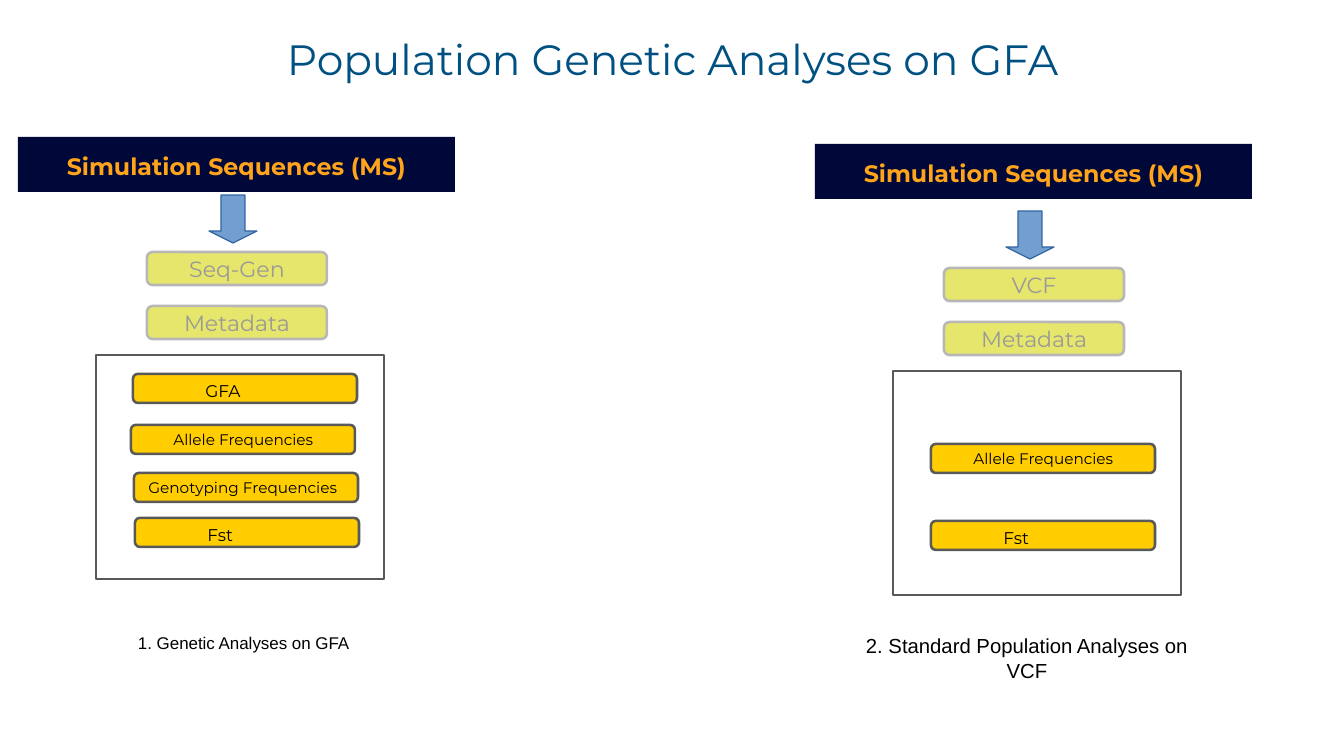
from dataclasses import dataclass

from pptx import Presentation
from pptx.dml.color import RGBColor
from pptx.enum.shapes import MSO_SHAPE
from pptx.enum.text import MSO_ANCHOR, PP_ALIGN
from pptx.util import Emu, Pt

EMU_PER_PX = 7495
TITLE_ONLY_LAYOUT = 5
RECTANGLE = MSO_SHAPE.RECTANGLE
ROUNDED = MSO_SHAPE.ROUNDED_RECTANGLE
DOWN_ARROW = MSO_SHAPE.DOWN_ARROW
TOP, MIDDLE, BOTTOM = MSO_ANCHOR.TOP, MSO_ANCHOR.MIDDLE, MSO_ANCHOR.BOTTOM
LEFT, CENTER = PP_ALIGN.LEFT, PP_ALIGN.CENTER


@dataclass(frozen=True)
class Theme:
    heading_font: str = "Montserrat"
    caption_font: str = "Arial"
    title: str = "005082"
    banner: str = "000839"
    banner_text: str = "FFA41B"
    input_fill: str = "E6E56C"
    input_line: str = "B7B7B7"
    input_text: str = "999999"
    analysis_fill: str = "FFCD00"
    dark_line: str = "595959"
    arrow_fill: str = "729FCF"
    arrow_line: str = "3465A4"
    text: str = "000000"
    title_size: int = 25
    banner_size: int = 14
    input_size: int = 13


THEME = Theme()


@dataclass(frozen=True)
class Analysis:
    label: str
    left: int
    top: int
    indent: int
    size: int
    drop: int = 0


@dataclass(frozen=True)
class Pipeline:
    left: int
    top: int
    banner_top: int
    first_input: str
    analyses: tuple


PIPELINES = (
    Pipeline(18, 195, 137, "Seq-Gen", (
        Analysis("GFA", 133, 374, 71, 10, 4),
        Analysis("Allele Frequencies", 131, 425, 41, 9),
        Analysis("Genotyping Frequencies", 134, 473, 13, 9),
        Analysis("Fst", 135, 518, 71, 10, 4),
    )),
    Pipeline(815, 211, 144, "VCF", (
        Analysis("Allele Frequencies", 931, 444, 41, 9),
        Analysis("Fst", 931, 521, 71, 10, 4),
    )),
)


def px(length):
    return Emu(length * EMU_PER_PX)


def place(shape, box):
    shape.left, shape.top, shape.width, shape.height = map(px, box)


def write(shape, lines, size, color, font=THEME.heading_font, bold=False,
          align=CENTER, anchor=MIDDLE, insets=(0, 0, 0, 0), wrap=True):
    """Fill the shape with one paragraph per line; insets are left, top, right, bottom."""
    frame = shape.text_frame
    frame.word_wrap = wrap
    frame.vertical_anchor = anchor
    (frame.margin_left, frame.margin_top,
     frame.margin_right, frame.margin_bottom) = map(px, insets)
    for index, line in enumerate(lines):
        paragraph = frame.add_paragraph() if index else frame.paragraphs[0]
        paragraph.alignment = align
        run = paragraph.add_run()
        run.text = line
        run.font.name = font
        run.font.size = Pt(size)
        run.font.bold = bold
        run.font.color.rgb = RGBColor.from_string(color)


def add_box(slide, kind, box, fill=None, line=None, line_width=0):
    shape = slide.shapes.add_shape(kind, *map(px, box))
    shape.shadow.inherit = False
    if fill:
        shape.fill.solid()
        shape.fill.fore_color.rgb = RGBColor.from_string(fill)
    else:
        shape.fill.background()
    if line:
        shape.line.color.rgb = RGBColor.from_string(line)
        shape.line.width = Pt(line_width)
    else:
        shape.line.fill.background()
    return shape


def add_title(slide, text):
    title = slide.shapes.title
    place(title, (46, 21, 1253, 84))
    write(title, [text], THEME.title_size, THEME.title, anchor=TOP,
          insets=(12, 12, 12, 12))


def add_banner(slide, left, top):
    banner = add_box(slide, RECTANGLE, (left, top, 437, 55), THEME.banner)
    write(banner, ["Simulation Sequences (MS)"], THEME.banner_size,
          THEME.banner_text, bold=True, anchor=BOTTOM, insets=(12, 12, 12, 12))


def add_arrow(slide, left, top):
    arrow = add_box(slide, DOWN_ARROW, (left, top, 48, 48),
                    THEME.arrow_fill, THEME.arrow_line)
    arrow.adjustments[0] = 0.5
    arrow.adjustments[1] = 0.25


def add_input(slide, label, left, top):
    shape = add_box(slide, ROUNDED, (left, top, 180, 33),
                    THEME.input_fill, THEME.input_line, 1.5)
    write(shape, [label], THEME.input_size, THEME.input_text)


def add_analysis(slide, analysis):
    shape = add_box(slide, ROUNDED, (analysis.left, analysis.top, 224, 29),
                    THEME.analysis_fill, THEME.dark_line, 1.5)
    write(shape, [analysis.label], analysis.size, THEME.text, align=LEFT,
          insets=(analysis.indent, analysis.drop, 0, 0))


def add_pipeline(slide, pipeline):
    left, top = pipeline.left, pipeline.top
    add_banner(slide, left, pipeline.banner_top)
    add_arrow(slide, left + 191, top)
    add_input(slide, pipeline.first_input, left + 129, top + 57)
    add_input(slide, "Metadata", left + 129, top + 111)
    add_box(slide, RECTANGLE, (left + 78, top + 160, 288, 224),
            line=THEME.dark_line, line_width=0.75)
    for analysis in pipeline.analyses:
        add_analysis(slide, analysis)


def add_caption(slide, lines, box, size, anchor):
    caption = slide.shapes.add_textbox(*map(px, box))
    write(caption, lines, size, THEME.text, THEME.caption_font,
          anchor=anchor, insets=(12, 6, 12, 6))


def main():
    presentation = Presentation()
    presentation.slide_width, presentation.slide_height = px(1344), px(756)
    slide = presentation.slides.add_slide(
        presentation.slide_layouts[TITLE_ONLY_LAYOUT])
    add_title(slide, "Population Genetic Analyses on GFA")
    for pipeline in PIPELINES:
        add_pipeline(slide, pipeline)
    add_caption(slide, ["1. Genetic Analyses on GFA"], (93, 627, 301, 50), 10, TOP)
    add_caption(slide, ["2. Standard Population Analyses on", "VCF"],
                (847, 605, 360, 106), 12, MIDDLE)
    presentation.save("out.pptx")


if __name__ == "__main__":
    main()
